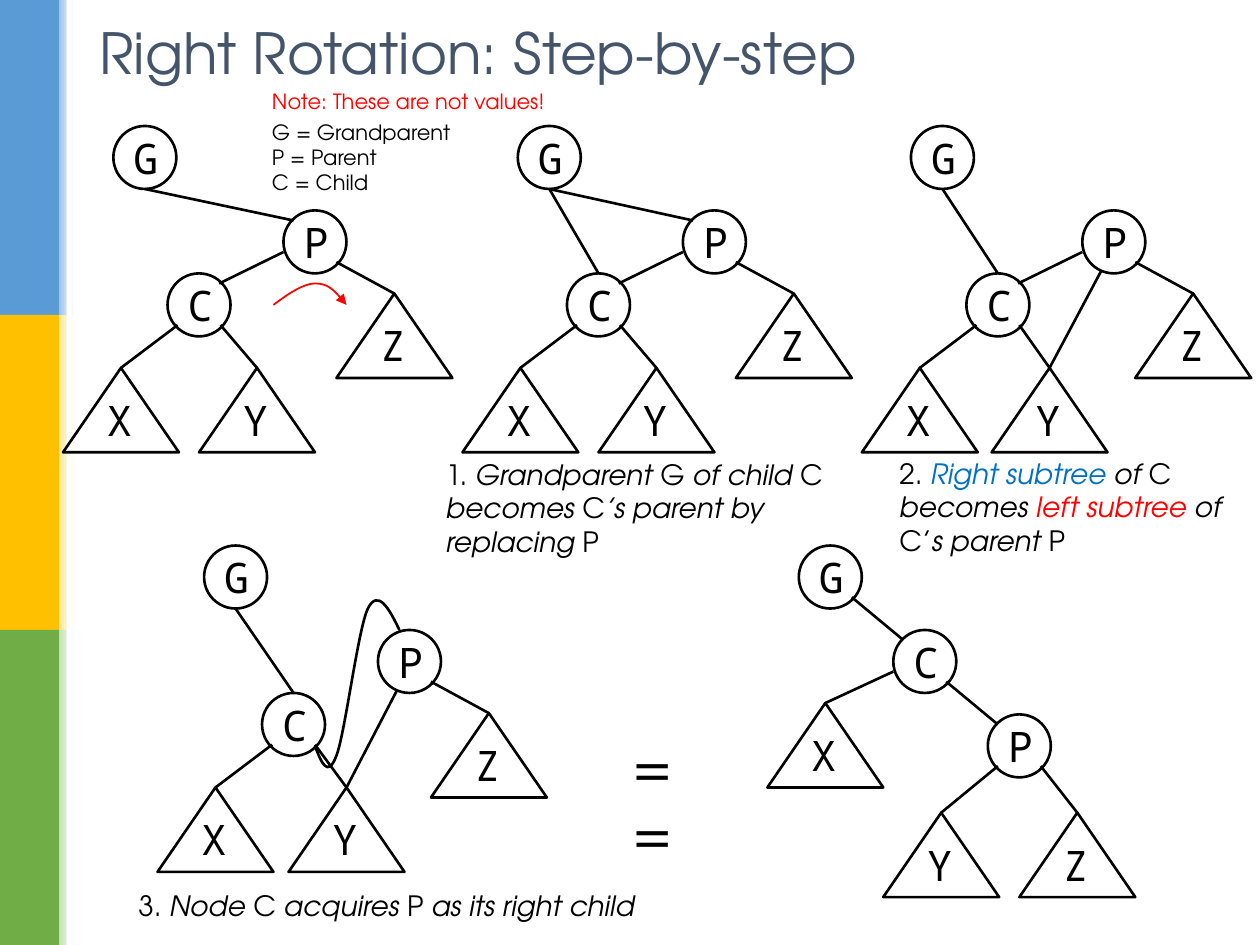
"""Build the slide that walks through a right rotation of a binary tree."""
from lxml.etree import SubElement
from pptx import Presentation
from pptx.dml.color import RGBColor
from pptx.enum.shapes import MSO_CONNECTOR, MSO_SHAPE
from pptx.enum.text import MSO_ANCHOR, MSO_AUTO_SIZE, PP_ALIGN
from pptx.oxml.ns import qn
from pptx.util import Inches, Pt

BLACK = RGBColor(0x00, 0x00, 0x00)
WHITE = RGBColor(0xFF, 0xFF, 0xFF)
RED = RGBColor(0xFF, 0x00, 0x00)
BLUE = RGBColor(0x00, 0x70, 0xC0)
SLATE = RGBColor(0x44, 0x54, 0x6A)
BANDS = [
    (RGBColor(0x5B, 0x9B, 0xD5), RGBColor(0x9D, 0xC3, 0xE6)),
    (RGBColor(0xFF, 0xC0, 0x00), RGBColor(0xFF, 0xE6, 0x99)),
    (RGBColor(0x70, 0xAD, 0x47), RGBColor(0xC5, 0xE0, 0xB4)),
]
SANS = "TeX Gyre Adventor"
MONO = "Noto Sans Mono"

TITLE = "Right Rotation: Step-by-step"
NOTE = [
    [("Note: These are not values!", {"color": RED})],
    "G = Grandparent",
    "P = Parent",
    "C = Child",
]
SLANT = {"italic": True}
STEP_1 = [[
    ("1. ", {}), ("Grandparent ", SLANT), ("G ", {}), ("of child", SLANT),
    (" C ", {}), ("\n", {}), ("becomes", SLANT), (" C", {}),
    ("’s parent by ", SLANT), ("\n", {}), ("replacing", SLANT), (" P", {}),
]]
STEP_2 = [[
    ("2. ", {}), ("Right subtree ", {"italic": True, "color": BLUE}),
    ("of", SLANT), (" C ", {}), ("becomes ", SLANT),
    ("left subtree ", {"italic": True, "color": RED}), ("of", SLANT),
    (" C’", {}), ("s parent", SLANT), (" P", {}),
]]
STEP_3 = [[
    ("3. ", {}), ("Node ", SLANT), ("C ", {}), ("acquires", SLANT),
    (" P ", {}), ("as its right child", SLANT),
]]

NODE = 0.5
SUBTREE = (0.92, 0.67)
SITES = {
    "apex": (0.46, 0), "top": (0.25, 0), "bottom": (0.25, 0.5),
    "nw": (0.08, 0.08), "ne": (0.41, 0.08), "sw": (0.08, 0.41),
    "se": (0.42, 0.41), "left": (0, 0.33), "low": (0.15, 0.48),
}


def unrotated(left, top, g_shift, y_shift):
    """Place the parts of a tree whose parent P is still above child C."""
    offsets = {"G": (g_shift, 0), "P": (1.75, 0.67), "C": (0.83, 1.17),
               "X": (0, 1.92), "Y": (y_shift, 1.92), "Z": (2.17, 1.33)}
    return {name: (left + x, top + y) for name, (x, y) in offsets.items()}


SUBTREES = ["C.sw X.apex", "C.se Y.apex", "P.se Z.apex"]
PARENT_CHILD = "C.ne P.left"
GRANDPARENT_PARENT = "G.bottom P.nw"
GRANDPARENT_CHILD = "G.bottom C.top"
PARENT_Y = "P.low Y.apex"
TREES = [
    (unrotated(0.5, 1, 0.4, 1.08),
     SUBTREES + [PARENT_CHILD, GRANDPARENT_PARENT]),
    (unrotated(3.67, 1, 0.44, 1.08),
     SUBTREES + [PARENT_CHILD, GRANDPARENT_PARENT, GRANDPARENT_CHILD]),
    (unrotated(6.84, 1, 0.39, 1.03),
     SUBTREES + [PARENT_CHILD, GRANDPARENT_CHILD, PARENT_Y]),
    (unrotated(1.25, 4.33, 0.37, 1.04),
     SUBTREES + [GRANDPARENT_CHILD, PARENT_Y]),
    ({"G": (6.34, 4.33), "C": (7.09, 5), "P": (7.84, 5.67),
      "X": (6.09, 5.58), "Y": (7.01, 6.45), "Z": (8.09, 6.45)},
     ["G.se C.nw", "C.left X.apex", "C.se P.nw", "P.sw Y.apex", "P.se Z.apex"]),
]
NEW_LINK = [(2.5, 5.92), (2.55, 6.05), (2.6, 6.18), (2.67, 6), (2.74, 5.82),
            (2.84, 5), (2.92, 4.83), (3, 4.67), (3.09, 4.83), (3.17, 5)]
TURN = [(2.17, 2.42), (2.29, 2.33), (2.41, 2.25), (2.5, 2.25),
        (2.6, 2.25), (2.68, 2.33), (2.75, 2.42)]

prs = Presentation()
prs.slide_width, prs.slide_height = Inches(10), Inches(7.5)
slide = prs.slides.add_slide(prs.slide_layouts[6])
shapes = slide.shapes


def add_text(text, left, top, width, height, size=16, font=SANS, color=BLACK,
             align=PP_ALIGN.LEFT, anchor=MSO_ANCHOR.TOP, wrap=True, gap=0):
    """Add a text box; gap is the space in points before the second paragraph."""
    frame = shapes.add_textbox(*map(Inches, (left, top, width, height))).text_frame
    frame.word_wrap = wrap
    frame.auto_size = MSO_AUTO_SIZE.NONE if wrap else MSO_AUTO_SIZE.SHAPE_TO_FIT_TEXT
    frame.vertical_anchor = anchor
    for index, content in enumerate([text] if isinstance(text, str) else text):
        paragraph = frame.add_paragraph() if index else frame.paragraphs[0]
        paragraph.alignment = align
        if index == 1 and gap:
            paragraph.space_before = Pt(gap)
        for words, style in [(content, {})] if isinstance(content, str) else content:
            if words == "\n":
                paragraph.add_line_break()
                continue
            run = paragraph.add_run()
            run.text = words
            run.font.name, run.font.size = font, Pt(size)
            run.font.italic = style.get("italic", False)
            run.font.color.rgb = style.get("color", color)


def add_band(left, top, width, height, color, fade=False):
    """Add a borderless side band, optionally fading to white."""
    band = shapes.add_shape(MSO_SHAPE.RECTANGLE, *map(Inches, (left, top, width, height)))
    band.shadow.inherit = False
    band.line.fill.background()
    if fade:
        band.fill.gradient()
        band.fill.gradient_angle = 0
        for stop, shade in zip(band.fill.gradient_stops, (color, WHITE)):
            stop.color.rgb = shade
    else:
        band.fill.solid()
        band.fill.fore_color.rgb = color


def outline(shape, color=BLACK, width=1.5):
    """Leave a shape unfilled with a plain outline."""
    shape.shadow.inherit = False
    shape.fill.background()
    shape.line.color.rgb = color
    shape.line.width = Pt(width)


def add_node(name, left, top):
    """Add a circle for a node or a triangle for a subtree, with its letter."""
    subtree = name in "XYZ"
    kind = MSO_SHAPE.ISOSCELES_TRIANGLE if subtree else MSO_SHAPE.OVAL
    width, height = SUBTREE if subtree else (NODE, NODE)
    outline(shapes.add_shape(kind, *map(Inches, (left, top, width, height))))
    dx, dy = (0.25, 0.16) if subtree else (0.01, 0)
    add_text(name, left + dx, top + dy, NODE, NODE, size=24, font=MONO,
             align=PP_ALIGN.LEFT if subtree else PP_ALIGN.CENTER)


def add_edge(edge, places):
    """Join two named sites of a tree with a straight line."""
    ends = []
    for end in edge.split():
        name, site = end.split(".")
        ends += [Inches(a + b) for a, b in zip(places[name], SITES[site])]
    line = shapes.add_connector(MSO_CONNECTOR.STRAIGHT, *ends)
    line.line.color.rgb = BLACK
    line.line.width = Pt(1.5)
    SubElement(line._element.spPr, qn("a:effectLst"))


def add_curve(points, color=BLACK, width=1.5, arrow=False):
    """Draw a chain of cubic curves, three points to each."""
    start, *rest = [(Inches(x), Inches(y)) for x, y in points]
    builder = shapes.build_freeform(*start)
    builder.add_line_segments(rest, close=False)
    curve = builder.convert_to_shape()
    outline(curve, color, width)
    route = curve._element.find(".//" + qn("a:path"))
    segments = route.findall(qn("a:lnTo"))
    for first in range(0, len(segments), 3):
        cubic = SubElement(route, qn("a:cubicBezTo"))
        for segment in segments[first:first + 3]:
            cubic.append(segment[0])
            route.remove(segment)
    if arrow:
        SubElement(curve.line._get_or_add_ln(), qn("a:tailEnd"), type="triangle")


for row, (strong, pale) in enumerate(BANDS):
    add_band(0, row * 2.5, 0.47, 2.5, strong)
    add_band(0.47, row * 2.5, 0.12, 2.5, pale, fade=True)
add_band(0.53, 0, 0.04, 7.5, WHITE)

add_text(TITLE, 0.69, 0.07, 8.62, 0.68, size=32.4, color=SLATE, anchor=MSO_ANCHOR.MIDDLE)
for places, edges in TREES:
    for name, place in places.items():
        add_node(name, *place)
    for edge in edges:
        add_edge(edge, places)
add_curve(NEW_LINK)
add_curve(TURN, color=RED, width=1, arrow=True)

add_text(NOTE, 2.06, 0.65, 2.41, 0.96, size=12, wrap=False, gap=3.6)
add_text(STEP_1, 3.44, 3.58, 3.32, 0.91, wrap=False)
add_text(STEP_2, 7.04, 3.57, 2.78, 0.91)
add_text(STEP_3, 1, 7, 4.26, 0.37, wrap=False)
add_text("==", 4.92, 5.75, 0.75, 0.64, size=32)

prs.save("out.pptx")
